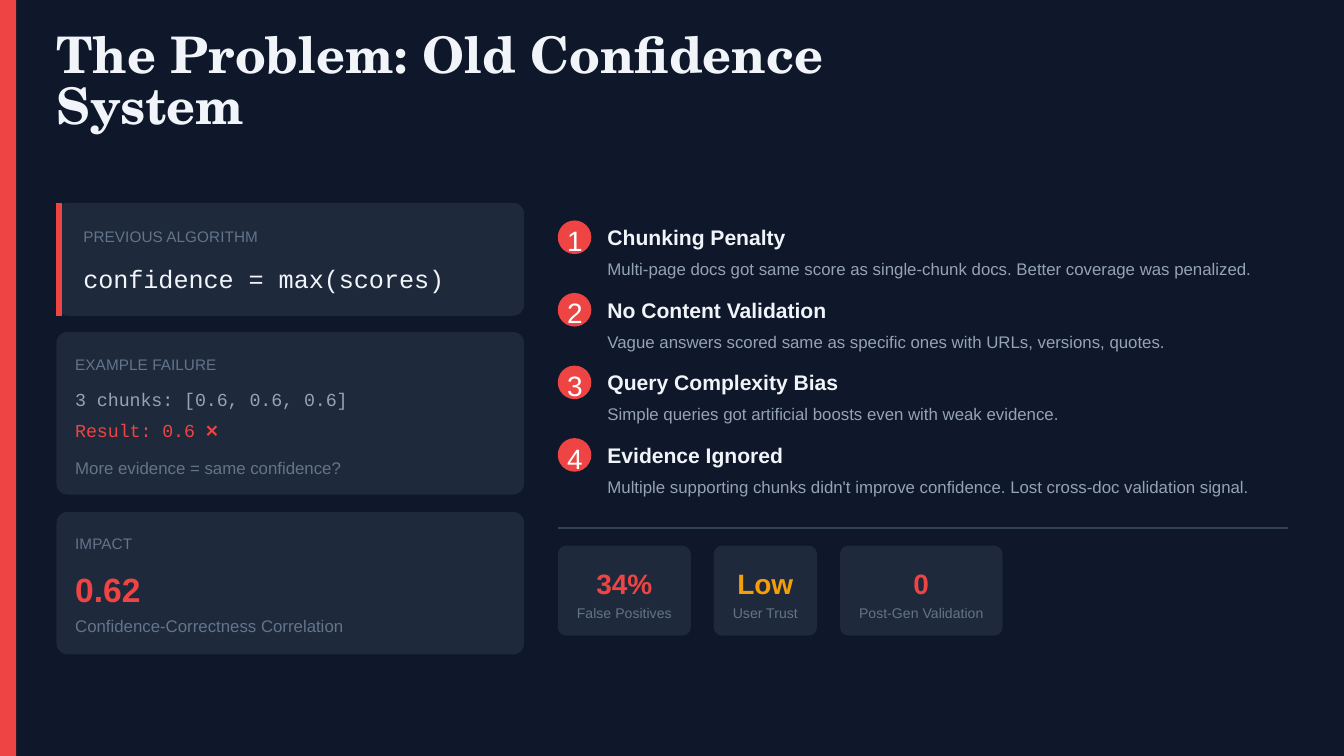
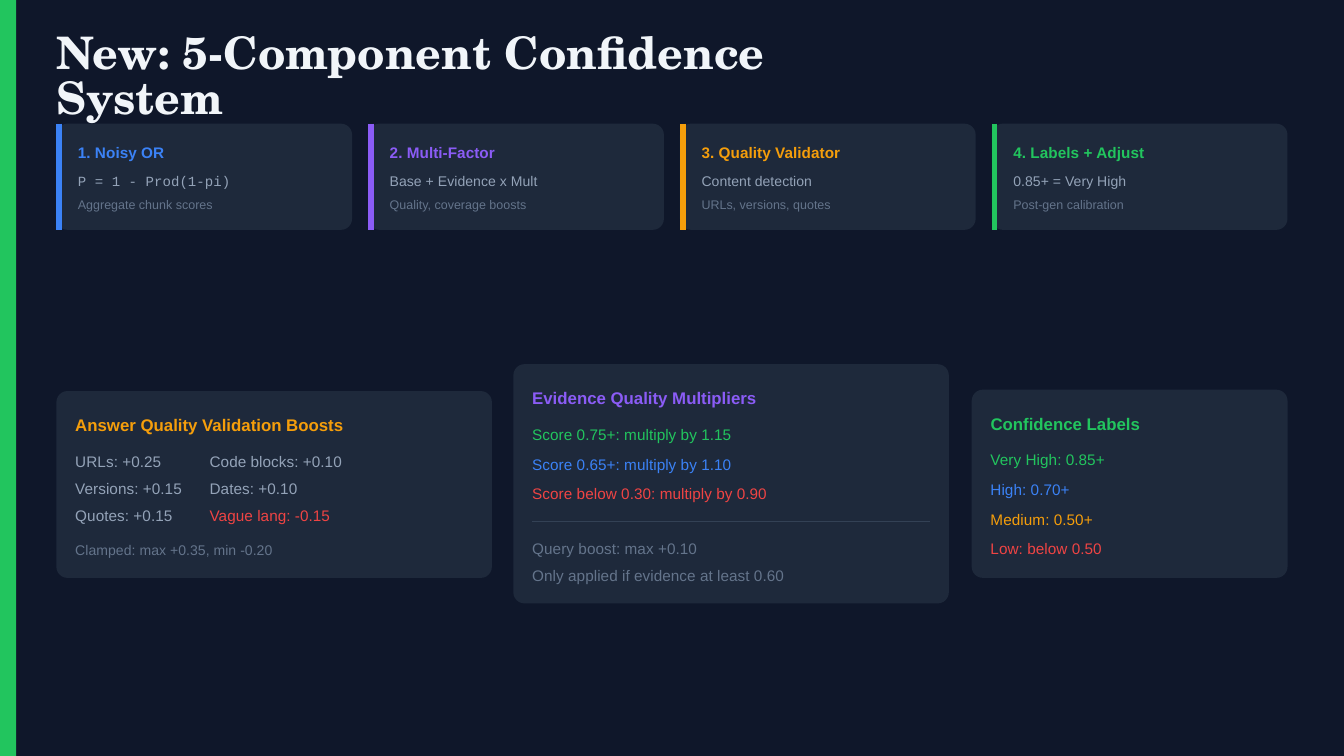
from lxml.etree import SubElement
from pptx import Presentation
from pptx.dml.color import RGBColor
from pptx.enum.shapes import MSO_CONNECTOR, MSO_SHAPE
from pptx.enum.text import PP_ALIGN
from pptx.oxml.ns import qn
from pptx.util import Inches, Pt

SLIDE_W, SLIDE_H = 10, 10 * 9 / 16
LEFT, RIGHT = 0.42, 9.58
PAD = 0.14

NAVY, PANEL, RULE = "0F172A", "1E293B", "334155"
WHITE, BRIGHT, SOFT, MUTED = "FFFFFF", "F1F5F9", "94A3B8", "64748B"
RED, GREEN, BLUE, PURPLE, AMBER = "EF4444", "22C55E", "3B82F6", "8B5CF6", "F59E0B"

SANS, MONO, SERIF = "Arial", "Courier New", "TeX Gyre Schola"
LEADING = 1.4


def rgb(value):
    return RGBColor.from_string(value)


def add_text(s, x, y, w, text, size, color, font=SANS, bold=False,
             align=PP_ALIGN.LEFT, leading=LEADING):
    """Add one line of text in a box exactly one line high."""
    line = size * leading
    tf = s.shapes.add_textbox(Inches(x), Inches(y), Inches(w), Pt(line)).text_frame
    tf.word_wrap = True
    tf.margin_left = tf.margin_right = tf.margin_top = tf.margin_bottom = 0
    p = tf.paragraphs[0]
    p.alignment = align
    p.line_spacing = Pt(line)
    r = p.add_run()
    r.text = text
    r.font.name = font
    r.font.size = Pt(size)
    r.font.bold = bold
    r.font.color.rgb = rgb(color)


def add_box(s, x, y, w, h, color, radius=0.0):
    kind = MSO_SHAPE.ROUNDED_RECTANGLE if radius else MSO_SHAPE.RECTANGLE
    sp = s.shapes.add_shape(kind, Inches(x), Inches(y), Inches(w), Inches(h))
    if radius:
        sp.adjustments[0] = radius / min(w, h)
    sp.fill.solid()
    sp.fill.fore_color.rgb = rgb(color)
    sp.line.fill.background()
    sp.shadow.inherit = False


def add_line(s, x1, y1, x2, y2, color, width):
    line = s.shapes.add_connector(MSO_CONNECTOR.STRAIGHT, Inches(x1), Inches(y1),
                                  Inches(x2), Inches(y2))
    line.line.color.rgb = rgb(color)
    line.line.width = Pt(width)
    SubElement(line._element.spPr, qn("a:effectLst"))


def add_card(s, x, y, w, h, accent=None):
    """Add a rounded panel, with a coloured left edge if accent is given."""
    add_box(s, x, y, w, h, PANEL, radius=0.083)
    if accent:
        add_line(s, x + 0.02, y, x + 0.02, y + h, accent, 3)


def add_lines(s, x, y, w, step, lines, size=8.25):
    """Stack (text, colour) lines at an equal step."""
    for i, (text, color) in enumerate(lines):
        add_text(s, x, y + i * step, w, text, size, color)


def add_issue(s, number, y, w, heading, detail):
    add_box(s, 4.15, y, 0.25, 0.25, RED, radius=0.125)
    add_text(s, 4.22, y - 0.02, 0.12, str(number), 15, WHITE)
    add_text(s, 4.52, y, w, heading, 11.25, BRIGHT, bold=True)
    add_text(s, 4.52, y + 0.26, w, detail, 9, SOFT)


def add_stat(s, x, w, value, label, color):
    y, inset = 4.06, 0.12
    add_box(s, x, y, w, 0.67, PANEL, radius=0.063)
    inner = w - 2 * inset
    add_text(s, x + inset, y + 0.11, inner, value, 15, color, bold=True,
             align=PP_ALIGN.CENTER)
    add_text(s, x + inset, y + 0.42, inner, label, 7.5, MUTED, align=PP_ALIGN.CENTER)


def add_component(s, x, title, rule, note, color, font):
    y, w, inset = 0.92, 1.94, 0.16
    add_card(s, x, y, 2.2, 0.79, accent=color)
    add_text(s, x + inset, y + 0.12, w, title, 8.25, color, bold=True)
    add_text(s, x + inset, y + 0.34, w, rule, 7.5, SOFT, font=font)
    add_text(s, x + inset, y + 0.53, w, note, 6.75, MUTED)


def add_titled_card(s, x, y, w, h, title, color):
    add_card(s, x, y, w, h)
    add_text(s, x + PAD, y + 0.15, w - 0.23, title, 9, color, bold=True)


def new_slide(prs, title, size, title_w, band):
    s = prs.slides.add_slide(prs.slide_layouts[6])
    s.background.fill.solid()
    s.background.fill.fore_color.rgb = rgb(NAVY)
    add_box(s, 0, 0, 0.12, SLIDE_H, band)
    add_text(s, LEFT, 0.25, title_w, title, size, BRIGHT, font=SERIF, bold=True, leading=1)
    return s


def build_problem(prs):
    s = new_slide(prs, "The Problem: Old Confidence System", 27, 6.18, RED)
    card_w, inner_x, inner_w = 3.48, LEFT + PAD, 3.26

    add_card(s, LEFT, 1.51, card_w, 0.84, accent=RED)
    add_text(s, 0.62, 1.67, 3.17, "PREVIOUS ALGORITHM", 8.25, MUTED)
    add_text(s, 0.62, 1.92, 3.17, "confidence = max(scores)", 13.5, BRIGHT, font=MONO)

    add_card(s, LEFT, 2.47, card_w, 1.21)
    add_text(s, inner_x, 2.62, inner_w, "EXAMPLE FAILURE", 8.25, MUTED)
    add_text(s, inner_x, 2.86, inner_w, "3 chunks: [0.6, 0.6, 0.6]", 9.75, SOFT, font=MONO)
    add_text(s, inner_x, 3.09, inner_w, "Result: 0.6 ❌", 9.75, RED, font=MONO)
    add_text(s, inner_x, 3.38, inner_w, "More evidence = same confidence?", 9, MUTED)

    add_card(s, LEFT, 3.81, card_w, 1.06)
    add_text(s, inner_x, 3.95, inner_w, "IMPACT", 8.25, MUTED)
    add_text(s, inner_x, 4.18, inner_w, "0.62", 18, RED, bold=True)
    add_text(s, inner_x, 4.56, inner_w, "Confidence-Correctness Correlation", 9, MUTED)

    issues = [
        (4.88, "Chunking Penalty",
         "Multi-page docs got same score as single-chunk docs. Better coverage was penalized."),
        (4.23, "No Content Validation",
         "Vague answers scored same as specific ones with URLs, versions, quotes."),
        (3.42, "Query Complexity Bias",
         "Simple queries got artificial boosts even with weak evidence."),
        (4.86, "Evidence Ignored",
         "Multiple supporting chunks didn't improve confidence. "
         "Lost cross-doc validation signal."),
    ]
    for i, (w, heading, detail) in enumerate(issues):
        add_issue(s, i + 1, 1.64 + i * 0.54, w, heading, detail)

    add_line(s, 4.15, 3.93, RIGHT, 3.93, RULE, 0.75)
    x = 4.15
    for w, value, label, color in [
        (0.99, "34%", "False Positives", RED),
        (0.77, "Low", "User Trust", AMBER),
        (1.21, "0", "Post-Gen Validation", RED),
    ]:
        add_stat(s, x, w, value, label, color)
        x += w + 0.17


def build_new_system(prs):
    s = new_slide(prs, "New: 5-Component Confidence System", 24, 5.68, GREEN)

    components = [
        ("1. Noisy OR", "P = 1 - Prod(1-pi)", "Aggregate chunk scores", BLUE, MONO),
        ("2. Multi-Factor", "Base + Evidence x Mult", "Quality, coverage boosts", PURPLE, SANS),
        ("3. Quality Validator", "Content detection", "URLs, versions, quotes", AMBER, SANS),
        ("4. Labels + Adjust", "0.85+ = Very High", "Post-gen calibration", GREEN, SANS),
    ]
    for i, component in enumerate(components):
        add_component(s, LEFT + i * 2.32, *component)

    x = LEFT + PAD
    add_titled_card(s, LEFT, 2.91, 3.24, 1.39, "Answer Quality Validation Boosts", AMBER)
    add_lines(s, x, 3.34, 0.81, 0.2, [
        ("URLs: +0.25", SOFT), ("Versions: +0.15", SOFT), ("Quotes: +0.15", SOFT)])
    add_lines(s, x + 1, 3.34, 1, 0.2, [
        ("Code blocks: +0.10", SOFT), ("Dates: +0.10", SOFT), ("Vague lang: -0.15", RED)])
    add_text(s, x, 4.01, 3.01, "Clamped: max +0.35, min -0.20", 7.5, MUTED)

    x = 3.82 + PAD
    add_titled_card(s, 3.82, 2.71, 3.24, 1.78, "Evidence Quality Multipliers", PURPLE)
    add_lines(s, x, 3.14, 3.01, 0.22, [
        ("Score 0.75+: multiply by 1.15", GREEN),
        ("Score 0.65+: multiply by 1.10", BLUE),
        ("Score below 0.30: multiply by 0.90", RED)])
    add_line(s, x, 3.88, 6.92, 3.88, RULE, 0.75)
    add_lines(s, x, 3.99, 3.01, 0.2, [
        ("Query boost: max +0.10", MUTED),
        ("Only applied if evidence at least 0.60", MUTED)])

    add_titled_card(s, 7.23, 2.9, 2.35, 1.4, "Confidence Labels", GREEN)
    add_lines(s, 7.23 + PAD, 3.33, 2.1, 0.22, [
        ("Very High: 0.85+", GREEN), ("High: 0.70+", BLUE),
        ("Medium: 0.50+", AMBER), ("Low: below 0.50", RED)])


def main():
    prs = Presentation()
    prs.slide_width, prs.slide_height = Inches(SLIDE_W), Inches(SLIDE_H)
    build_problem(prs)
    build_new_system(prs)
    prs.save("out.pptx")


if __name__ == "__main__":
    main()
